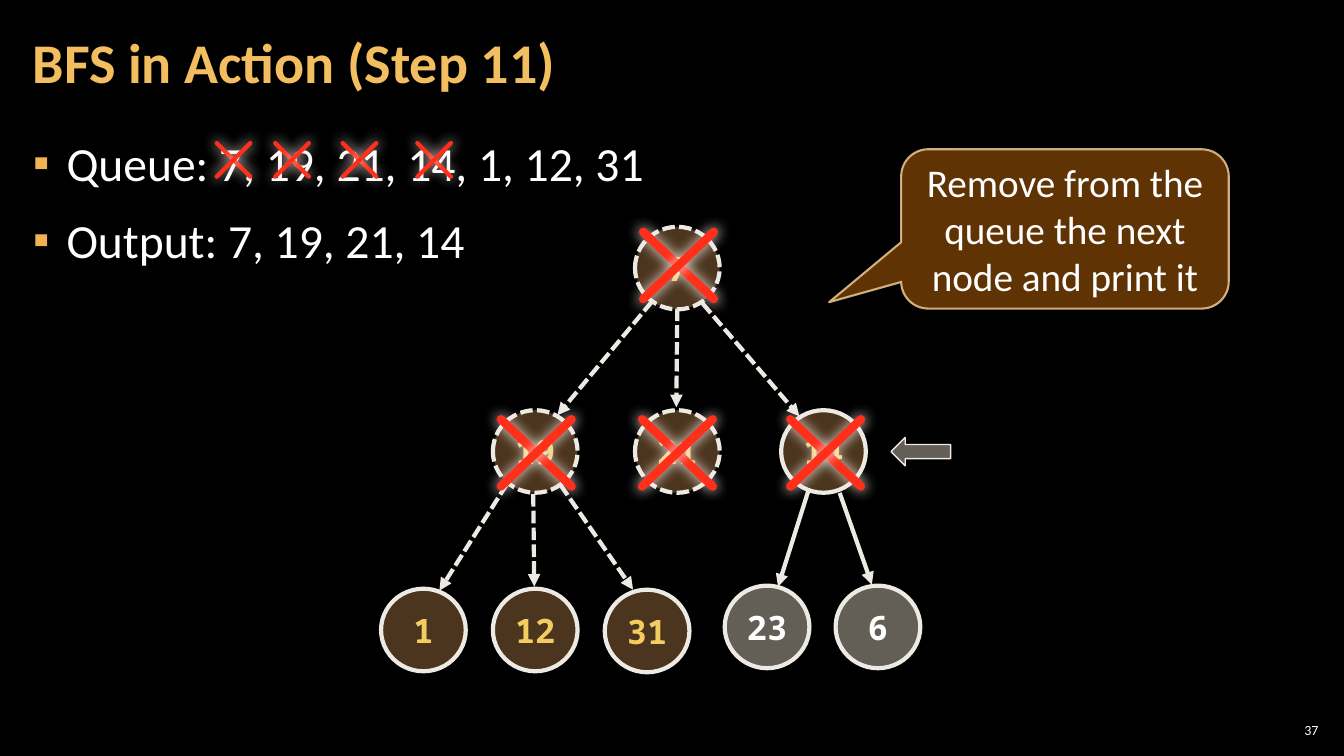
from lxml.etree import SubElement
from pptx import Presentation
from pptx.dml.color import RGBColor
from pptx.enum.dml import MSO_LINE
from pptx.enum.shapes import MSO_CONNECTOR, MSO_SHAPE
from pptx.enum.text import MSO_ANCHOR, MSO_AUTO_SIZE, PP_ALIGN
from pptx.oxml.ns import qn
from pptx.util import Pt

COLORS = {
    "background": "000000", "text": "FFFFFF", "title": "F3BE60",
    "bullet": "F2B254", "edge": "ECEAE3", "queued": "6C4C2C",
    "queued_text": "F3CD60", "waiting": "C7BFAC", "cross": "FF2F19",
    "glow": "FFEDEB", "callout": "663606", "callout_edge": "F8D49E",
}
NODE_WIDTH, NODE_HEIGHT = 60.5, 59
NODES = [
    ("7", 453.6, 162, "queued", True),
    ("19", 352.1, 293, "queued", True),
    ("21", 453.6, 293, "queued", True),
    ("14", 558, 293, "queued", False),
    ("1", 272.2, 420.5, "queued", False),
    ("12", 352.1, 420.5, "queued", False),
    ("31", 432, 421.2, "queued", False),
    ("23", 517.7, 418.3, "waiting", False),
    ("6", 596.9, 418.3, "waiting", False),
]
EDGES = [
    ((465.8, 215.3), (398.2, 296.6), True),
    ((483.8, 220.3), (483.1, 290.9), True),
    ((501.8, 216.7), (571, 297.4), True),
    ((362.2, 345.6), (313.9, 421.9), True),
    ((380.9, 352.8), (381.6, 419), True),
    ((400.3, 346.3), (452.2, 421.2), True),
    ((577.4, 350.6), (555.8, 419), False),
    ((599.8, 352.1), (622.8, 417.6), False),
]
QUEUE_CROSSES = [154.8, 196.6, 244.8, 298.1]
NODE_CROSSES = [(459.4, 165.6), (357.8, 299.5), (458.6, 299.5), (564.5, 299.5)]


class SlideBuilder:
    def __init__(self, slide):
        self.slide = slide
        self.font = "Calibri"
        self.code_font = "Noto Sans Mono"
        slide.background.fill.solid()
        slide.background.fill.fore_color.rgb = self.color("background")

    def color(self, name):
        return RGBColor.from_string(COLORS[name])

    def set_alpha(self, fill_element, percent):
        color_element = fill_element.find(".//" + qn("a:srgbClr"))
        SubElement(color_element, qn("a:alpha"), val=str(percent * 1000))

    def style_text(self, paragraph, size, color="text", bold=False, font=None):
        paragraph.font.name = font or self.font
        paragraph.font.size = Pt(size)
        paragraph.font.bold = bold
        paragraph.font.color.rgb = self.color(color)

    def set_frame(self, frame, sides, ends, anchor):
        frame.margin_left = frame.margin_right = Pt(sides)
        frame.margin_top = frame.margin_bottom = Pt(ends)
        frame.vertical_anchor = anchor
        frame.auto_size = MSO_AUTO_SIZE.NONE
        frame.word_wrap = True

    def place(self, shape, left, top, width, height):
        shape.left, shape.top = Pt(left), Pt(top)
        shape.width, shape.height = Pt(width), Pt(height)

    def title(self, wording, *box):
        heading = self.slide.shapes.title
        self.place(heading, *box)
        self.set_frame(heading.text_frame, 8.5, 2.8, MSO_ANCHOR.MIDDLE)
        heading.text_frame.text = wording
        paragraph = heading.text_frame.paragraphs[0]
        paragraph.alignment = PP_ALIGN.LEFT
        paragraph.line_spacing = 0.9
        self.style_text(paragraph, 40, "title", True)

    def bullets(self, lines, *box):
        body = self.slide.placeholders[1]
        self.place(body, *box)
        self.set_frame(body.text_frame, 8.5, 2.8, MSO_ANCHOR.TOP)
        body.text_frame.text = "\n".join(lines)
        for paragraph in body.text_frame.paragraphs:
            paragraph.line_spacing = 1.05
            paragraph.space_before = paragraph.space_after = Pt(6)
            properties = paragraph._p.get_or_add_pPr()
            properties.set("marL", str(Pt(24)))
            properties.set("indent", str(-Pt(24)))
            bullet_color = SubElement(properties, qn("a:buClr"))
            SubElement(bullet_color, qn("a:srgbClr"), val=COLORS["bullet"])
            SubElement(properties, qn("a:buChar"), char="▪")
            self.style_text(paragraph, 34)

    def page_number(self, number, *box):
        frame = self.slide.shapes.add_textbox(*map(Pt, box)).text_frame
        self.set_frame(frame, 2.8, 2.8, MSO_ANCHOR.MIDDLE)
        frame.text = number
        frame.paragraphs[0].alignment = PP_ALIGN.RIGHT
        self.style_text(frame.paragraphs[0], 10)

    def shape(self, parent, preset, box, fill, alpha, edge, edge_width):
        shape = parent.add_shape(preset, *map(Pt, box))
        shape.shadow.inherit = False
        shape.fill.solid()
        shape.fill.fore_color.rgb = self.color(fill)
        self.set_alpha(shape._element.spPr.find(qn("a:solidFill")), alpha)
        shape.line.color.rgb = self.color(edge)
        shape.line.width = Pt(edge_width)
        return shape

    def line(self, parent, start, end, color, width):
        line = parent.add_connector(MSO_CONNECTOR.STRAIGHT, *map(Pt, (*start, *end)))
        line.line.color.rgb = self.color(color)
        line.line.width = Pt(width)
        effects = SubElement(line._element.spPr, qn("a:effectLst"))
        return line, effects

    def node(self, parent, label, left, top, state, dashed):
        queued = state == "queued"
        node = self.shape(parent, MSO_SHAPE.OVAL, (left, top, NODE_WIDTH, NODE_HEIGHT),
                          state, 70 if queued else 50, "edge", 3)
        if dashed:
            node.line.dash_style = MSO_LINE.SQUARE_DOT
        frame = node.text_frame
        frame.word_wrap = False
        frame.vertical_anchor = MSO_ANCHOR.MIDDLE
        frame.text = label
        frame.paragraphs[0].alignment = PP_ALIGN.CENTER
        self.style_text(frame.paragraphs[0], 24, "queued_text" if queued else "text",
                        True, self.code_font)

    def edge(self, parent, start, end, dashed):
        edge, _ = self.line(parent, start, end, "edge", 3)
        if dashed:
            edge.line.dash_style = MSO_LINE.SQUARE_DOT
        SubElement(edge.line._get_or_add_ln(), qn("a:tailEnd"), type="triangle")

    def cross(self, left, top, width, height, weight):
        strokes = self.slide.shapes.add_group_shape().shapes
        right, bottom = left + width, top + height
        for start, end in [((left, top), (right, bottom)), ((right, top), (left, bottom))]:
            stroke, effects = self.line(strokes, start, end, "cross", weight)
            stroke.line._get_or_add_ln().set("cap", "rnd")
            glow = SubElement(effects, qn("a:outerShdw"), blurRad=str(Pt(10)),
                              dist="0", dir="5400000", rotWithShape="0")
            SubElement(glow, qn("a:srgbClr"), val=COLORS["glow"])

    def pointer(self, *box):
        self.shape(self.slide.shapes, MSO_SHAPE.LEFT_ARROW, box, "waiting", 50, "edge", 1)

    def callout(self, wording, *box):
        callout = self.shape(self.slide.shapes, MSO_SHAPE.ROUNDED_RECTANGULAR_CALLOUT,
                             box, "callout", 95, "callout_edge", 1.5)
        self.set_alpha(callout.line._get_or_add_ln(), 80)
        for index, value in enumerate((-0.72, 0.46, 0.17)):
            callout.adjustments[index] = value
        frame = callout.text_frame
        self.set_frame(frame, 7.2, 3.6, MSO_ANCHOR.MIDDLE)
        frame.text = wording
        frame.paragraphs[0].alignment = PP_ALIGN.CENTER
        self.style_text(frame.paragraphs[0], 28)


def main():
    presentation = Presentation()
    presentation.slide_width, presentation.slide_height = Pt(960), Pt(540)
    builder = SlideBuilder(presentation.slides.add_slide(presentation.slide_layouts[1]))
    builder.title("BFS in Action (Step 11)", 15, 3, 754, 87)
    builder.bullets(["Queue: 7, 19, 21, 14, 1, 12, 31", "Output: 7, 19, 21, 14"],
                    15, 90.7, 929.5, 438.5)
    tree = builder.slide.shapes.add_group_shape().shapes
    for edge in EDGES:
        builder.edge(tree, *edge)
    for node in NODES:
        builder.node(tree, *node)
    builder.page_number("37", 910.8, 514, 33.8, 15)
    for left in QUEUE_CROSSES:
        builder.cross(left, 102.2, 24, 24, 3)
    for left, top in NODE_CROSSES:
        builder.cross(left, top, 50.5, 48, 6)
    builder.pointer(636.5, 312.5, 42.5, 20.2)
    builder.callout("Remove from the queue the next node and print it",
                    643.7, 106.6, 234, 113.8)
    presentation.save("out.pptx")


if __name__ == "__main__":
    main()
